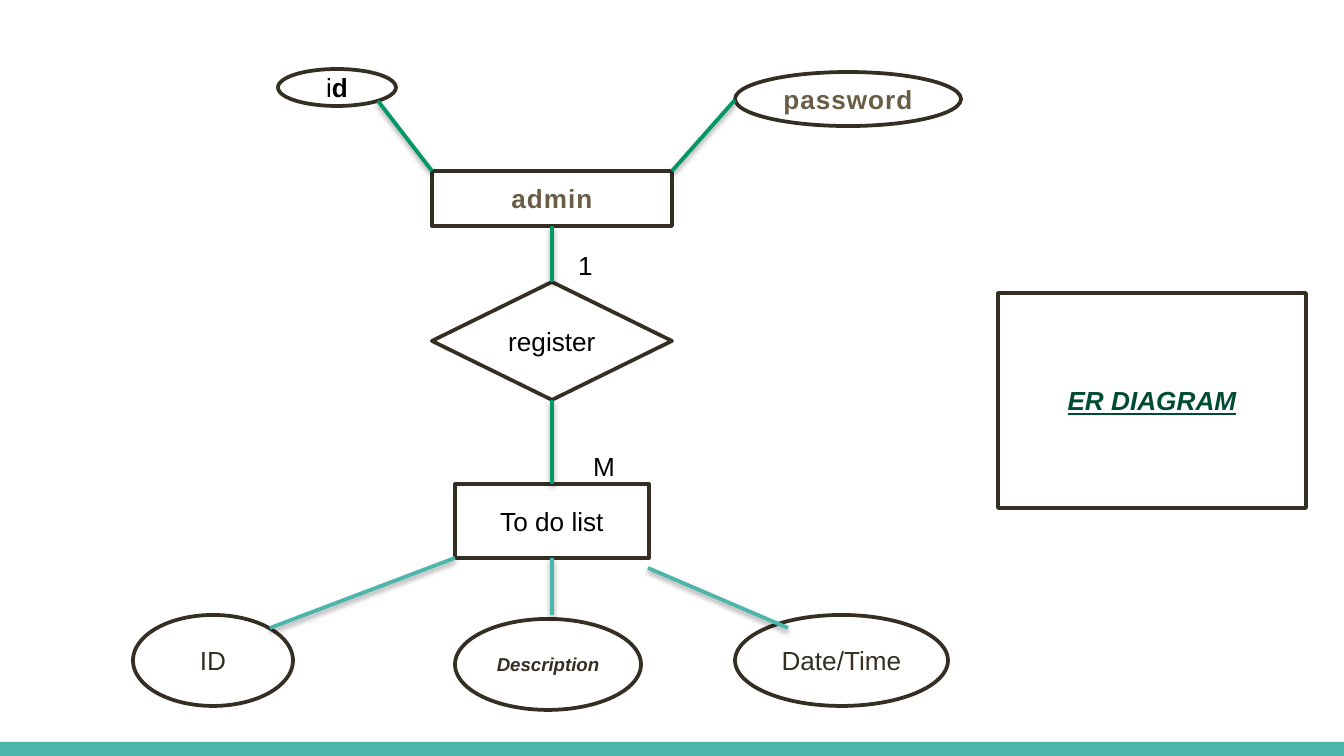
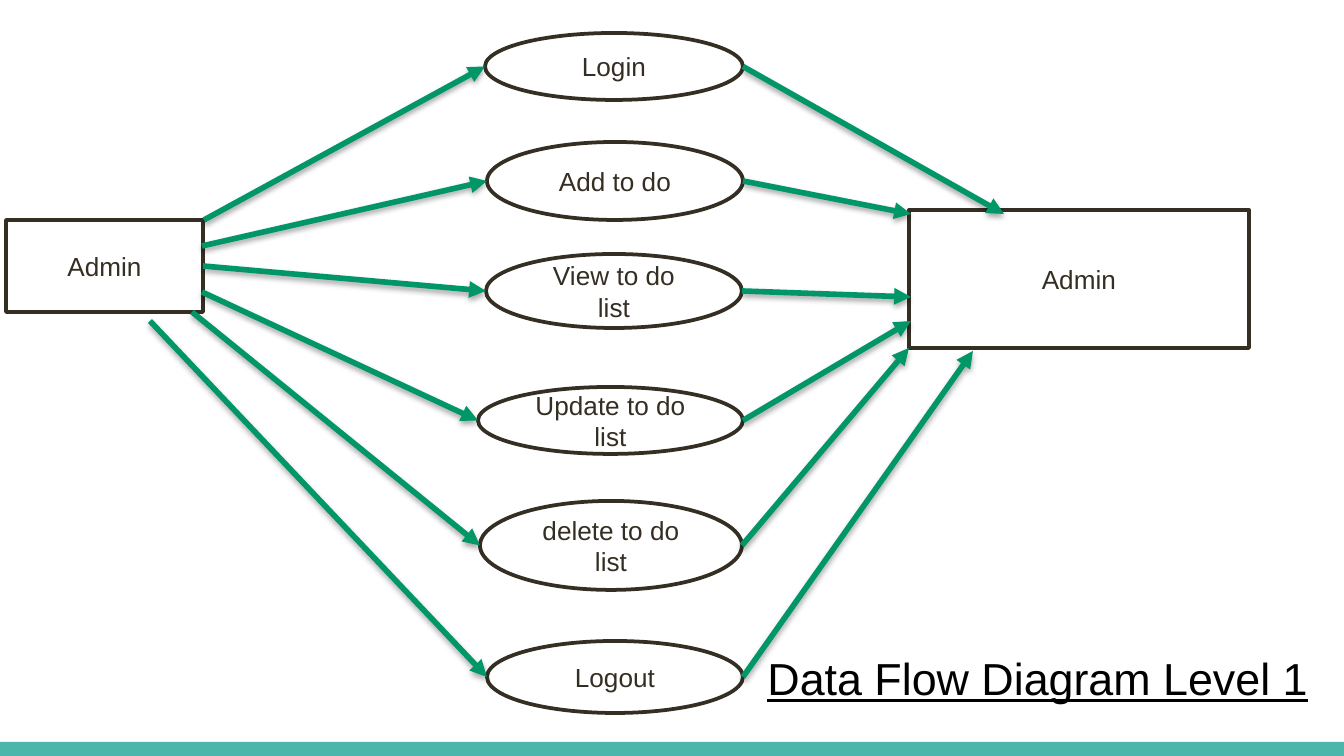
"""Build an entity diagram slide and a data flow slide that share one style."""
from lxml import etree
from pptx import Presentation
from pptx import util as u
from pptx.dml.color import RGBColor
from pptx.enum import shapes, text
from pptx.oxml.ns import qn

PX = u.Inches(10) / 1344
FONT = "Arial"
COLOURS = {"white": "FFFFFF", "black": "000000", "ink": "342E23", "brown": "695D46",
           "forest": "004B34", "green": "009668", "teal": "4DB6AC"}
FORMS = {"box": shapes.MSO_SHAPE.RECTANGLE, "oval": shapes.MSO_SHAPE.OVAL,
         "diamond": shapes.MSO_SHAPE.DIAMOND}
PLAIN = {"colour": "black"}
DARK = {"colour": "ink"}
STRONG = {"colour": "brown", "bold": True, "spacing": 50}

BAND = (0, 742, 1344, 14)

ENTITIES = {
    "admin": ("box", (432, 171, 240, 55), [("admin", STRONG)]),
    "id": ("oval", (278, 69, 118, 37),
           [("i", PLAIN), ("d", {**STRONG, "colour": "black"})]),
    "password": ("oval", (735, 72, 226, 54), [("password", STRONG)]),
    "register": ("diamond", (432, 282, 240, 118), [("register", PLAIN)]),
    "list": ("box", (455, 484, 194, 74), [("To do list", PLAIN)]),
    "list id": ("oval", (133, 615, 160, 91), [("ID", DARK)]),
    "description": ("oval", (455, 619, 186, 91),
                    [("Description", {**DARK, "size": 10, "bold": True, "italic": True})]),
    "date": ("oval", (735, 615, 213, 91), [("Date/Time", DARK)]),
}
RELATIONS = [
    ((378, 101), (432, 171), "green"),
    ((735, 100), (672, 171), "green"),
    (("admin", 2), ("register", 0), "green"),
    (("list", 0), ("register", 2), "green"),
    ((455, 558), (270, 628), "teal"),
    (("list", 2), (552, 615), "teal"),
    ((648, 568), (788, 628), "teal"),
]
CARDINALITIES = [("1", (565, 243, 33, 46)), ("M", (580, 444, 48, 46))]
ER_TITLE = ("ER DIAGRAM", (998, 293, 308, 215),
            {"colour": "forest", "bold": True, "italic": True, "underline": True})

SOURCE = ("Admin", (6, 220, 197, 92))
TARGET = ("Admin", (909, 210, 340, 138))
ACTIONS = [
    ("Login", (485, 33, 258, 67), (204, 220), (1004, 214)),
    ("Add to do", (487, 142, 256, 78), (202, 246), (911, 214)),
    ("View to do list", (486, 254, 256, 74), ("source", 3), (911, 297)),
    ("Update to do list", (478, 387, 265, 67), (202, 292), (911, 321)),
    ("delete to do list", (480, 501, 262, 89), (192, 312), (909, 348)),
    ("Logout", (487, 641, 256, 72), (150, 321), (973, 351)),
]
FLOW_TITLE = ("Data Flow Diagram Level 1", (754, 644, 590, 67),
              {"colour": "black", "size": 24, "underline": True})


def scaled(values):
    return [round(value * PX) for value in values]


def rgb(name):
    return RGBColor.from_string(COLOURS[name])


def write(box, spans, align=text.PP_ALIGN.CENTER, anchor=text.MSO_ANCHOR.MIDDLE, wrap=True):
    frame = box.text_frame
    frame.auto_size = text.MSO_AUTO_SIZE.NONE
    frame.word_wrap = wrap
    frame.vertical_anchor = anchor
    para = frame.paragraphs[0]
    para.alignment = align
    for words, style in spans:
        span = para.add_run()
        span.text = words
        font = span.font
        font.name = FONT
        font.size = u.Pt(style.get("size", 14))
        font.color.rgb = rgb(style["colour"])
        font.bold = style.get("bold", False)
        font.italic = style.get("italic", False)
        font.underline = style.get("underline", False)
        if "spacing" in style:
            span._r.get_or_add_rPr().set("spc", str(style["spacing"]))


def outline(box):
    box.fill.solid()
    box.fill.fore_color.rgb = rgb("white")
    box.line.color.rgb = rgb("ink")
    box.line.width = u.Pt(2)


def add_node(page, form, place, spans):
    box = page.shapes.add_shape(FORMS[form], *scaled(place))
    box.shadow.inherit = False
    outline(box)
    write(box, spans)
    return box


def add_label(page, words, place):
    box = page.shapes.add_textbox(*scaled(place))
    write(box, [(words, PLAIN)], text.PP_ALIGN.LEFT, text.MSO_ANCHOR.TOP, False)


def add_title(page, title, **layout):
    words, place, style = title
    box = page.shapes.title
    box.left, box.top, box.width, box.height = scaled(place)
    write(box, [(words, style)], **layout)
    return box


def add_link(page, nodes, start, end, colour, width=2, alpha=38, arrow=False):
    """Draw a line between points or (node name, side) joints."""
    joints = [point if point[0] in nodes else None for point in (start, end)]
    points = [(0, 0) if joint else point for joint, point in zip(joints, (start, end))]
    line = page.shapes.add_connector(shapes.MSO_CONNECTOR.STRAIGHT,
                                     *scaled(points[0] + points[1]))
    for joint, connect in zip(joints, (line.begin_connect, line.end_connect)):
        if joint:
            connect(nodes[joint[0]], joint[1])
    line.line.color.rgb = rgb(colour)
    line.line.width = u.Pt(width)
    properties = line._element.spPr
    if arrow:
        etree.SubElement(properties.find(qn("a:ln")), qn("a:tailEnd"), type="triangle")
    effects = etree.SubElement(properties, qn("a:effectLst"))
    shadow = etree.SubElement(effects, qn("a:outerShdw"), blurRad=str(u.Pt(3.1)),
                              dist=str(u.Pt(1.7)), dir="5400000", rotWithShape="0")
    tint = etree.SubElement(shadow, qn("a:srgbClr"), val=COLOURS["black"])
    etree.SubElement(tint, qn("a:alpha"), val=str(alpha * 1000))


def add_page(deck):
    page = deck.slides.add_slide(deck.slide_layouts[5])
    band = page.shapes.add_shape(FORMS["box"], *scaled(BAND))
    band.shadow.inherit = False
    band.fill.solid()
    band.fill.fore_color.rgb = rgb("teal")
    band.line.fill.background()
    return page


def build_entities(deck):
    page = add_page(deck)
    outline(add_title(page, ER_TITLE))
    nodes = {name: add_node(page, *entity) for name, entity in ENTITIES.items()}
    for start, end, colour in RELATIONS:
        add_link(page, nodes, start, end, colour)
    for words, place in CARDINALITIES:
        add_label(page, words, place)


def build_flow(deck):
    page = add_page(deck)
    add_title(page, FLOW_TITLE, align=text.PP_ALIGN.LEFT, anchor=text.MSO_ANCHOR.TOP)
    for words, place, *_ in ACTIONS:
        add_node(page, "oval", place, [(words, DARK)])
    nodes = {name: add_node(page, "box", place, [(words, DARK)])
             for name, (words, place) in (("source", SOURCE), ("target", TARGET))}
    for _, (left, top, width, height), start, end in ACTIONS:
        middle = top + height / 2
        for tail, head in ((start, (left, middle)), ((left + width, middle), end)):
            add_link(page, nodes, tail, head, "green", width=3, alpha=35, arrow=True)


def main():
    deck = Presentation()
    deck.slide_width, deck.slide_height = scaled((1344, 756))
    build_entities(deck)
    build_flow(deck)
    deck.save("out.pptx")


if __name__ == "__main__":
    main()
